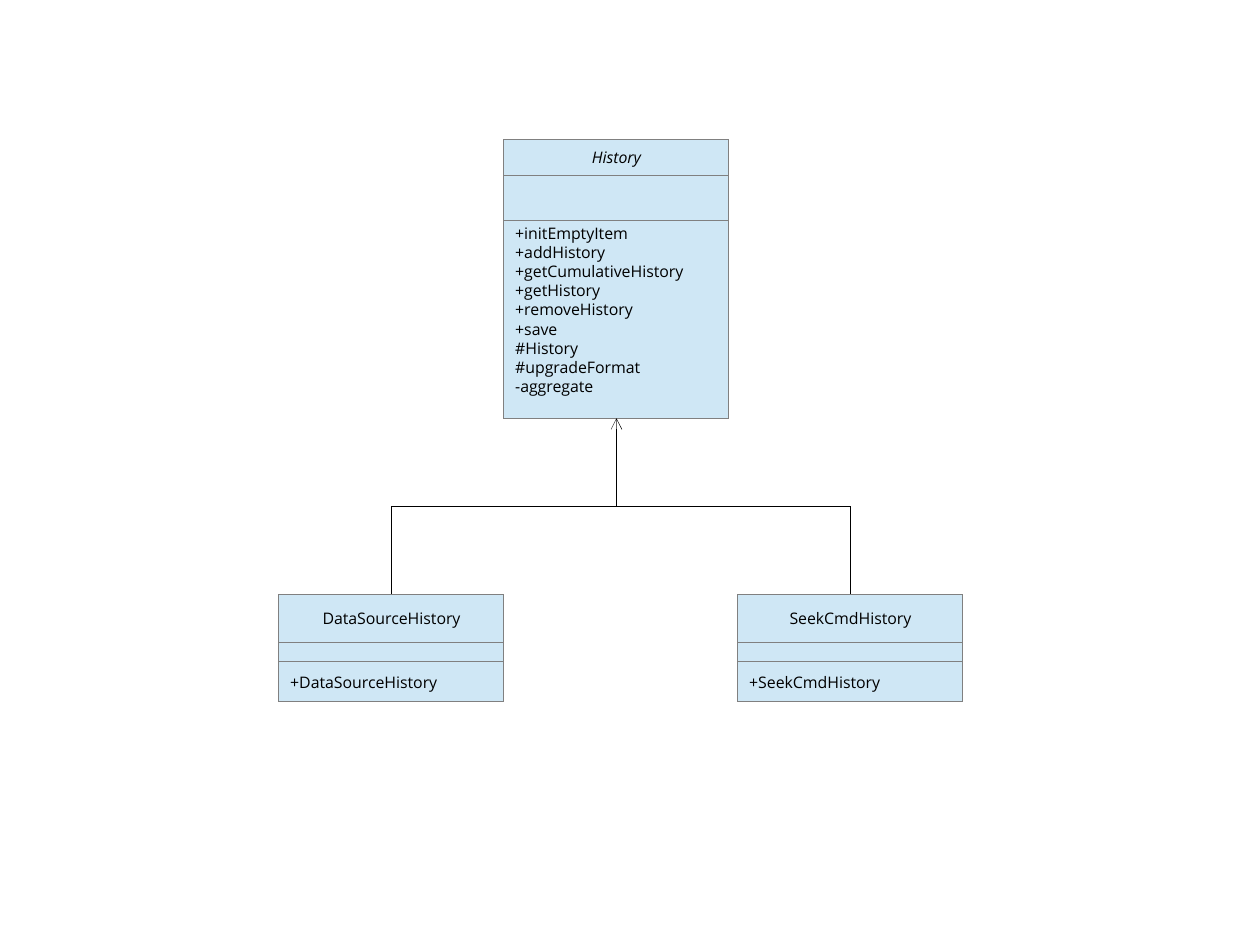
from pptx import Presentation
from pptx.util import Pt
from pptx.dml.color import RGBColor
from pptx.enum.shapes import MSO_SHAPE as Shape, MSO_CONNECTOR as Link
from pptx.enum.text import PP_ALIGN as Align, MSO_ANCHOR as Anchor
from pptx.oxml.ns import qn
from lxml.etree import SubElement as Sub

BASE = {
    "name": "History", "left": 317.48, "top": 87.87,
    "rows": (22.68, 28.35, 124.72), "slant": True, "pad": 16,
    "calls": ["+initEmptyItem", "+addHistory", "+getCumulativeHistory",
              "+getHistory", "+removeHistory", "+save", "#History",
              "#upgradeFormat", "-aggregate"],
}
KIDS = [
    {"name": name, "left": left, "top": 374.17, "rows": (30.47, 12.05, 25.51),
     "slant": False, "pad": 3.6, "calls": ["+" + name]}
    for name, left in (("DataSourceHistory", 175.75), ("SeekCmdHistory", 464.88))
]
WIDE = 141.73
THIN = 0.01
FONT, SIZE = "Open Sans", 10
BLUE = RGBColor(0xCF, 0xE7, 0xF5)
GRAY = RGBColor(0x80, 0x80, 0x80)
BLACK = RGBColor(0, 0, 0)

deck = Presentation()
deck.slide_width, deck.slide_height = Pt(793.7), Pt(595.28)
slide = deck.slides.add_slide(deck.slide_layouts[6])


def add_row(left, top, high, lines, align, slant=False, pad=3.6):
    box = slide.shapes.add_shape(Shape.RECTANGLE, Pt(left), Pt(top), Pt(WIDE), Pt(high))
    box.shadow.inherit = False
    box.fill.solid()
    box.fill.fore_color.rgb = BLUE
    box.line.color.rgb = GRAY
    box.line.width = Pt(THIN)
    frame = box.text_frame
    frame.word_wrap = True
    frame.vertical_anchor = Anchor.MIDDLE
    frame.margin_left = frame.margin_right = Pt(7.2)
    frame.margin_top, frame.margin_bottom = Pt(3.6), Pt(pad)
    for i, line in enumerate(lines):
        para = frame.paragraphs[0] if i == 0 else frame.add_paragraph()
        para.alignment = align
        run = para.add_run()
        run.text = line
        font = run.font
        font.name, font.size, font.italic = FONT, Pt(SIZE), slant
        font.color.rgb = BLACK
    return box


def add_class(item):
    left, top = item["left"], item["top"]
    head, gap, body = item["rows"]
    add_row(left, top + head, gap, [], Align.LEFT)
    title = add_row(left, top, head, [item["name"]], Align.CENTER, item["slant"])
    calls = add_row(left, top + head + gap, body, item["calls"], Align.LEFT, pad=item["pad"])
    return title, calls


def add_link(kid, title, goal):
    x1, y1 = kid["left"] + WIDE / 2, kid["top"]
    x2, y2 = BASE["left"] + WIDE / 2, BASE["top"] + sum(BASE["rows"])
    wide, high = y1 - y2, abs(x2 - x1)
    link = slide.shapes.add_connector(Link.ELBOW, Pt(x1), Pt(y1), Pt(x2), Pt(y2))
    link.begin_connect(title, 0)
    link.end_connect(goal, 2)
    link.left, link.top = Pt((x1 + x2 - wide) / 2), Pt((y1 + y2 - high) / 2)
    link.width, link.height = Pt(wide), Pt(high)
    props = link._element.spPr
    form = props.find(qn("a:xfrm"))
    form.set("rot", str(270 * 60000))
    form.set("flipH", "0")
    form.set("flipV", "1" if x1 > x2 else "0")
    link.line.color.rgb = BLACK
    link.line.width = Pt(THIN)
    Sub(props.find(qn("a:ln")), qn("a:tailEnd"), type="arrow")
    Sub(props, qn("a:effectLst"))


goal = add_class(BASE)[1]
for kid in KIDS:
    title = add_class(kid)[0]
    add_link(kid, title, goal)

deck.save("out.pptx")
